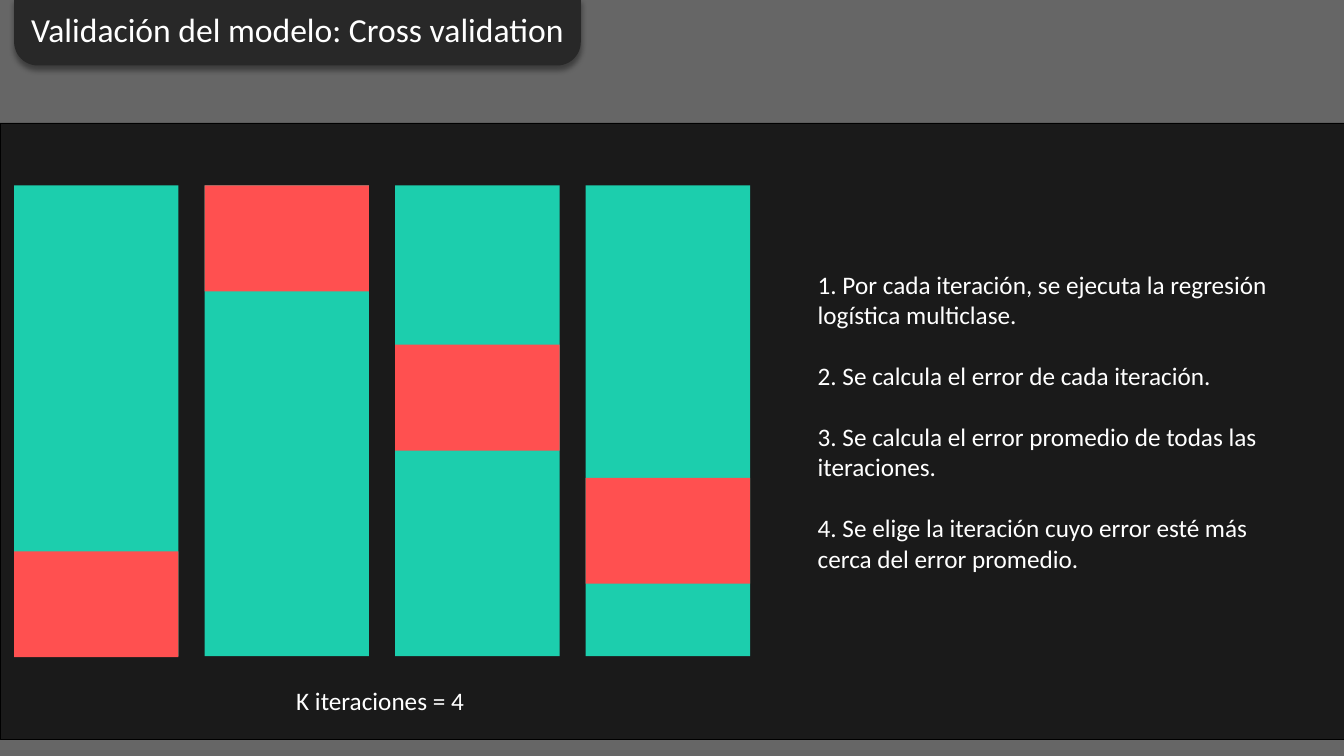
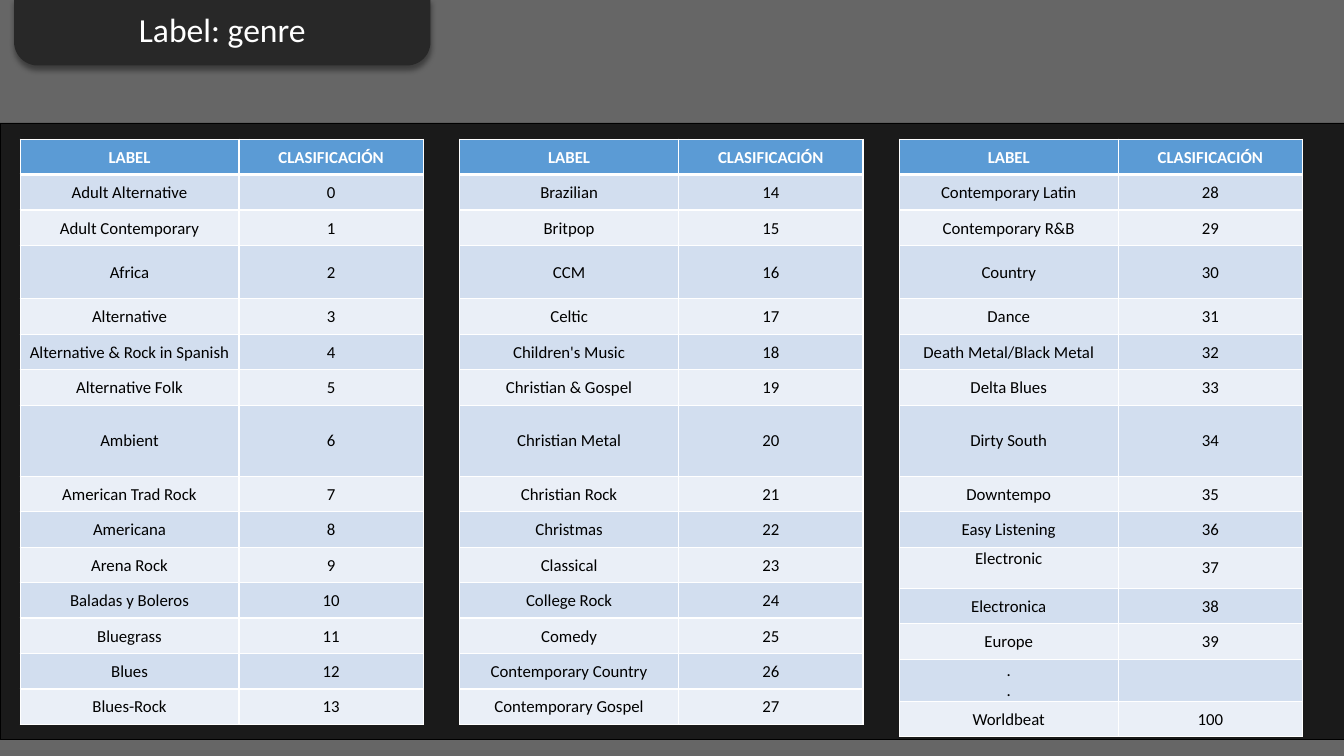
"""Build two dark slides on cross validation and genre labels."""
from dataclasses import dataclass
from itertools import chain

from lxml.etree import SubElement
from pptx import Presentation
from pptx.dml.color import RGBColor
from pptx.enum.shapes import MSO_SHAPE as Preset
from pptx.enum.text import MSO_ANCHOR as Anchor, MSO_AUTO_SIZE as AutoSize, PP_ALIGN as Align
from pptx.oxml import parse_xml
from pptx.oxml.ns import nsdecls, qn
from pptx.shapes.autoshape import Shape
from pptx.slide import Slide
from pptx.table import _Cell as Cell
from pptx.text.text import TextFrame
from pptx.util import Inches, Pt

FONT = "Calibri"
WHITE = RGBColor(0xFF, 0xFF, 0xFF)
BLACK = RGBColor(0x00, 0x00, 0x00)
BACKGROUND = RGBColor(0x66, 0x66, 0x66)
PANEL = RGBColor(0x1A, 0x1A, 0x1A)
TAB = RGBColor(0x28, 0x28, 0x28)
TRAINING = RGBColor(0x1C, 0xCE, 0xAD)
VALIDATION = RGBColor(0xFF, 0x50, 0x50)
HEADER = RGBColor(0x5B, 0x9B, 0xD5)
BANDS = (RGBColor(0xEA, 0xEF, 0xF7), RGBColor(0xD2, 0xDE, 0xEF))

TITLE_AND_BODY, TITLE_ONLY = 1, 5
MARGIN = 0.14
FOLD_PITCH, FOLD_WIDTH, FOLD_HEIGHT, HELD_OUT_HEIGHT = 1.89, 1.63, 4.67, 1.05
TABLE_LEFT, TABLE_TOP, TABLE_PITCH = 0.2, 1.38, 4.36
COLUMN_WIDTHS = (2.17, 1.83)
ROW_HEIGHT = 5.81 / 16.5
TALL_ROWS = {3: 1.5, 7: 2}

STEPS = "\n".join((
    "1. Por cada iteración, se ejecuta la regresión logística multiclase.",
    "2. Se calcula el error de cada iteración.",
    "3. Se calcula el error promedio de todas las iteraciones.",
    "4. Se elige la iteración cuyo error esté más cerca del error promedio.",
))
GENRES = (
    "Adult Alternative", "Adult Contemporary", "Africa", "Alternative",
    "Alternative & Rock in Spanish", "Alternative Folk", "Ambient",
    "American Trad Rock", "Americana", "Arena Rock", "Baladas y Boleros",
    "Bluegrass", "Blues", "Blues-Rock",
    "Brazilian", "Britpop", "CCM", "Celtic", "Children's Music",
    "Christian & Gospel", "Christian Metal", "Christian Rock", "Christmas",
    "Classical", "College Rock", "Comedy", "Contemporary Country",
    "Contemporary Gospel",
    "Contemporary Latin", "Contemporary R&B", "Country", "Dance",
    "Death Metal/Black Metal", "Delta Blues", "Dirty South", "Downtempo",
    "Easy Listening", "Electronic", "Electronica", "Europe",
)
GENRES_PER_TABLE = 14


@dataclass(frozen=True)
class Box:
    """Position and size in inches."""

    left: float
    top: float
    width: float
    height: float

    def lengths(self) -> tuple:
        """Return the four values as lengths."""
        return tuple(Inches(value) for value in (self.left, self.top, self.width, self.height))


@dataclass(frozen=True)
class Row:
    """One genre and its class number."""

    label: str
    number: str


def write_text(frame: TextFrame, text: str, *, size: float = 18, color: RGBColor = WHITE,
               bold: bool = False, align: Align = Align.LEFT, gap: float = 0) -> None:
    """Write one formatted paragraph for each line of text."""
    frame.word_wrap = True
    for index, line in enumerate(text.split("\n")):
        paragraph = frame.add_paragraph() if index else frame.paragraphs[0]
        paragraph.alignment = align
        paragraph.space_before = Pt(0)
        paragraph.space_after = Pt(gap)
        if line:
            run = paragraph.add_run()
            run.text = line
            font = run.font
            font.name, font.size, font.bold = FONT, Pt(size), bold
            font.color.rgb = color


def place(shape: Shape, box: Box) -> None:
    """Move a placeholder and anchor its text at the top."""
    shape.left, shape.top, shape.width, shape.height = box.lengths()
    shape.text_frame.auto_size = AutoSize.NONE
    shape.text_frame.vertical_anchor = Anchor.TOP


def add_block(slide: Slide, box: Box, color: RGBColor, preset: Preset = Preset.RECTANGLE) -> Shape:
    """Add a plain filled shape."""
    shape = slide.shapes.add_shape(preset, *box.lengths())
    shape.shadow.inherit = False
    shape.fill.solid()
    shape.fill.fore_color.rgb = color
    shape.line.fill.background()
    return shape


def add_shadow(shape: Shape) -> None:
    """Give a shape a soft shadow below it."""
    properties = shape.element.spPr
    properties.remove(properties.find(qn("a:effectLst")))
    properties.append(parse_xml(
        f'<a:effectLst {nsdecls("a")}><a:outerShdw blurRad="{Pt(4)}" dist="{Pt(3)}" '
        'dir="5400000" rotWithShape="0"><a:srgbClr val="000000"><a:alpha val="40000"/>'
        "</a:srgbClr></a:outerShdw></a:effectLst>"))


def add_titled_slide(presentation: Presentation, layout: int, title: str, tab_width: float) -> Slide:
    """Add a slide with the dark panel and the title tab."""
    slide = presentation.slides.add_slide(presentation.slide_layouts[layout])
    panel = add_block(slide, Box(0, 1.22, 13.33, 6.12), PANEL)
    panel.line.color.rgb = BLACK
    panel.line.width = Pt(0.5)
    tab = add_block(slide, Box(MARGIN, -0.02, tab_width, 0.67), TAB, Preset.ROUND_2_SAME_RECTANGLE)
    tab.adjustments[0], tab.adjustments[1] = 0, 0.35
    add_shadow(tab)
    heading = slide.shapes.title
    place(heading, Box(MARGIN, 0.04, tab_width, 0.5))
    write_text(heading.text_frame, title, size=24, align=Align.CENTER)
    tab.element.addnext(heading.element)
    return slide


def add_validation_slide(presentation: Presentation) -> None:
    """Add the four folds and the steps of the method."""
    slide = add_titled_slide(presentation, TITLE_AND_BODY, "Validación del modelo: Cross validation", 5.62)
    for index, held_out_top in enumerate((5.47, 1.84, 3.42, 4.74)):
        left = MARGIN + index * FOLD_PITCH
        add_block(slide, Box(left, 1.84, FOLD_WIDTH, FOLD_HEIGHT), TRAINING)
        add_block(slide, Box(left, held_out_top, FOLD_WIDTH, HELD_OUT_HEIGHT), VALIDATION)
    caption = slide.shapes.add_textbox(*Box(2.84, 6.75, 2.1, 0.4).lengths())
    write_text(caption.text_frame, "K iteraciones = 4")
    body = slide.placeholders[1]
    place(body, Box(8.01, 2.62, 4.92, 3.13))
    write_text(body.text_frame, STEPS, gap=22)
    for paragraph in body.text_frame.paragraphs:
        properties = paragraph._p.get_or_add_pPr()
        properties.set("marL", "0")
        properties.set("indent", "0")
        SubElement(properties, qn("a:buNone"))
    panel_top = slide.shapes[-1].element
    panel_top.addnext(body.element)


def format_cell(cell: Cell, text: str, fill: RGBColor, *, header: bool = False) -> None:
    """Write a centred cell with white borders."""
    cell.margin_left = cell.margin_top = cell.margin_right = Inches(0.01)
    cell.margin_bottom = 0
    cell.vertical_anchor = Anchor.TOP if text == "Electronic" else Anchor.MIDDLE
    write_text(cell.text_frame, text, size=12, color=WHITE if header else BLACK,
               bold=header, align=Align.CENTER)
    for side in "LRTB":
        width = Pt(3 if header and side == "B" else 1)
        cell._tc.get_or_add_tcPr().append(parse_xml(
            f'<a:ln{side} {nsdecls("a")} w="{width}"><a:solidFill>'
            f'<a:srgbClr val="{WHITE}"/></a:solidFill></a:ln{side}>'))
    cell.fill.solid()
    cell.fill.fore_color.rgb = fill


def add_genre_table(slide: Slide, left: float, rows: list[Row]) -> None:
    """Add one table of genres with its header."""
    box = Box(left, TABLE_TOP, sum(COLUMN_WIDTHS), 5.81)
    table = slide.shapes.add_table(len(rows) + 1, len(COLUMN_WIDTHS), *box.lengths()).table
    for column, width in zip(table.columns, COLUMN_WIDTHS):
        column.width = Inches(width)
    for index, row in enumerate(chain([Row("LABEL", "CLASIFICACIÓN")], rows)):
        two_lines = row.label in ("Electronic", ".\n.")
        table.rows[index].height = Inches(0.41 if two_lines else ROW_HEIGHT * TALL_ROWS.get(index, 1))
        fill = BANDS[index % 2] if index else HEADER
        for column, text in enumerate((row.label, row.number)):
            format_cell(table.cell(index, column), text, fill, header=index == 0)


def add_genre_slide(presentation: Presentation) -> None:
    """Add the three tables of genre labels."""
    slide = add_titled_slide(presentation, TITLE_ONLY, "Label: genre", 4.13)
    rows = [Row(genre, str(number)) for number, genre in enumerate(GENRES)]
    rows += [Row(".\n.", ""), Row("Worldbeat", "100")]
    for index, start in enumerate(range(0, len(rows), GENRES_PER_TABLE)):
        add_genre_table(slide, TABLE_LEFT + index * TABLE_PITCH, rows[start:start + GENRES_PER_TABLE])


def main() -> None:
    """Build and save the presentation."""
    presentation = Presentation()
    presentation.slide_width, presentation.slide_height = Inches(13.33), Inches(7.5)
    background = presentation.slide_master.background.fill
    background.solid()
    background.fore_color.rgb = BACKGROUND
    add_validation_slide(presentation)
    add_genre_slide(presentation)
    presentation.save("out.pptx")


if __name__ == "__main__":
    main()
